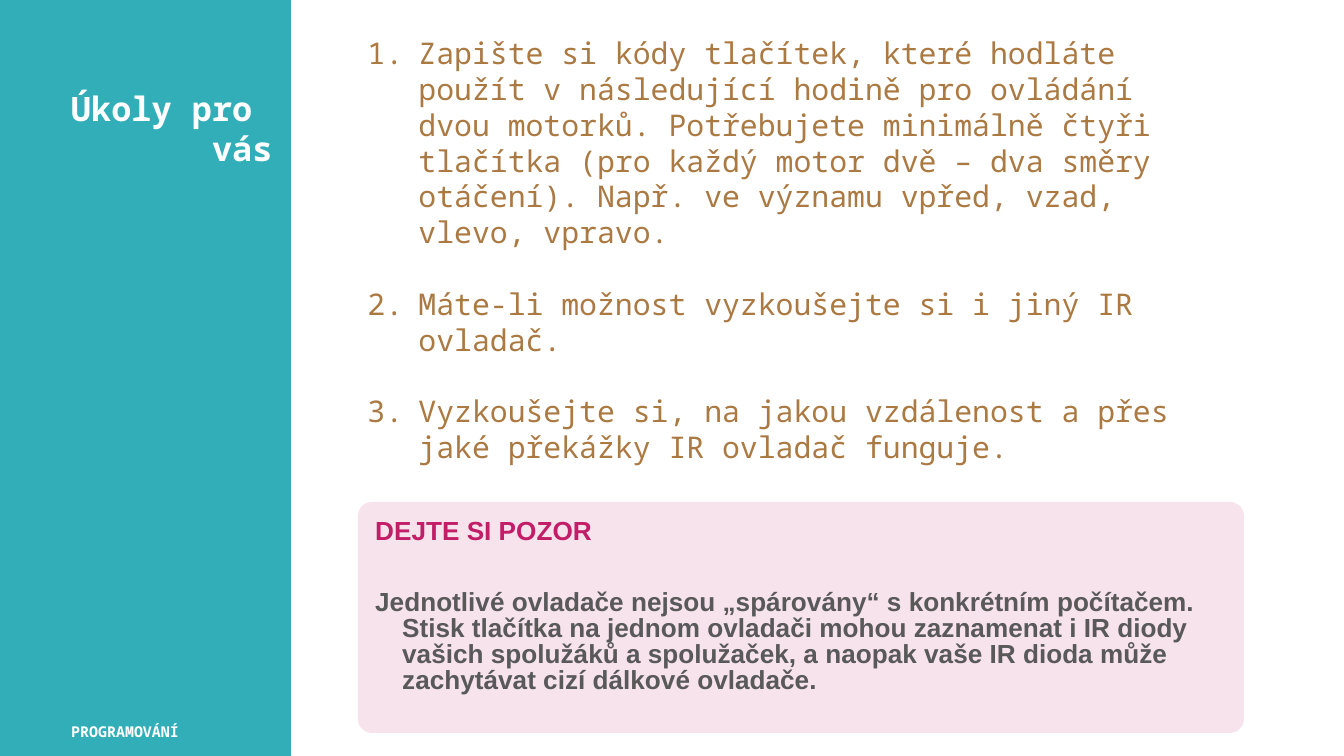
import pptx
import pptx.dml.color
import pptx.enum.shapes
import pptx.enum.text
import pptx.oxml.ns
import pptx.util
from dataclasses import dataclass
from lxml import etree

HEADING = "Úkoly pro \vvás"
SUBJECT = "PROGRAMOVÁNÍ"
TASKS = [
    "Zapište si kódy tlačítek, které hodláte použít v následující hodině pro ovládání "
    "dvou motorků. Potřebujete minimálně čtyři tlačítka (pro každý motor dvě – dva směry "
    "otáčení). Např. ve významu vpřed, vzad, vlevo, vpravo.",
    "Máte-li možnost vyzkoušejte si i jiný IR ovladač.",
    "Vyzkoušejte si, na jakou vzdálenost a přes jaké překážky IR ovladač funguje.",
]
WARNING_TITLE = "DEJTE SI POZOR"
WARNING_LINES = [
    "Jednotlivé ovladače nejsou „spárovány“ s konkrétním počítačem. ",
    "Stisk tlačítka na jednom ovladači mohou zaznamenat i IR diody ",
    "vašich spolužáků a spolužaček, a naopak vaše IR dioda může ",
    "zachytávat cizí dálkové ovladače.",
]


@dataclass(frozen=True)
class Theme:
    teal: str = "32AEB8"
    white: str = "FFFFFF"
    brown: str = "AB7942"
    magenta: str = "C21E68"
    grey: str = "595959"
    mono: str = "Noto Sans Mono"
    sans: str = "Arial"
    heading: int = 18
    task: int = 16
    warning: int = 14
    subject: int = 8


THEME = Theme()
EMU_PER_PX = 914400 / 134.4
SLIDE = (1344, 756)
SIDEBAR = (-5, 0, 296, 756)
HEADING_BOX = (-6, 81, 292, 212)
SUBJECT_BOX = (58, 716, 134, 32)
TASKS_BOX = (354, 28, 879, 520)
WARNING_BOX = (358, 502, 886, 231)
TASK_INDENT = 51
WARNING_INDENT = 27


def px(length):
    return pptx.util.Emu(round(length * EMU_PER_PX))


def rgb(color):
    return pptx.dml.color.RGBColor.from_string(color)


def place(shape, box):
    shape.left, shape.top, shape.width, shape.height = map(px, box)


def add_panel(shapes, kind, box, color):
    panel = shapes.add_shape(kind, *map(px, box))
    panel.shadow.inherit = False
    panel.fill.solid()
    panel.fill.fore_color.rgb = rgb(color)
    panel.line.fill.background()
    return panel


def prepare(frame):
    frame.word_wrap = True
    frame.auto_size = pptx.enum.text.MSO_AUTO_SIZE.NONE
    frame.vertical_anchor = pptx.enum.text.MSO_ANCHOR.TOP


def style(paragraph, face, size, color, bold=False):
    paragraph.font.name = face
    paragraph.font.size = pptx.util.Pt(size)
    paragraph.font.bold = bold
    paragraph.font.color.rgb = rgb(color)


def hang(paragraph, indent):
    properties = paragraph._p.get_or_add_pPr()
    properties.set("marL", str(px(indent)))
    properties.set("indent", str(-px(indent)))
    return properties


def main():
    align = pptx.enum.text.PP_ALIGN
    preset = pptx.enum.shapes.MSO_SHAPE
    qn = pptx.oxml.ns.qn
    deck = pptx.Presentation()
    deck.slide_width, deck.slide_height = map(px, SLIDE)
    slide = deck.slides.add_slide(deck.slide_layouts[1])
    shapes = slide.shapes

    heading = shapes.title
    sidebar = add_panel(shapes, preset.RECTANGLE, SIDEBAR, THEME.teal)
    heading._element.addprevious(sidebar._element)
    place(heading, HEADING_BOX)
    prepare(heading.text_frame)
    heading.text_frame.text = HEADING
    heading_line = heading.text_frame.paragraphs[0]
    heading_line.alignment = align.RIGHT
    style(heading_line, THEME.mono, THEME.heading, THEME.white, True)

    subject = shapes.add_textbox(*map(px, SUBJECT_BOX)).text_frame
    prepare(subject)
    subject.margin_right = 0
    subject.text = SUBJECT
    style(subject.paragraphs[0], THEME.mono, THEME.subject, THEME.white, True)

    tasks = slide.placeholders[1]
    place(tasks, TASKS_BOX)
    prepare(tasks.text_frame)
    tasks.text_frame.text = "\n".join(TASKS)
    for index, task in enumerate(tasks.text_frame.paragraphs):
        properties = hang(task, TASK_INDENT)
        etree.SubElement(properties, qn("a:buFont"), typeface="+mj-lt")
        etree.SubElement(properties, qn("a:buAutoNum"), type="arabicPeriod")
        task.space_before = pptx.util.Pt(19.2 if index else 0)
        style(task, THEME.mono, THEME.task, THEME.brown)

    warning = add_panel(shapes, preset.ROUNDED_RECTANGLE, WARNING_BOX, THEME.magenta)
    warning.adjustments[0] = 0.06
    tint = warning._element.spPr.find(qn("a:solidFill"))[0]
    etree.SubElement(tint, qn("a:alpha"), val="12000")
    frame = warning.text_frame
    prepare(frame)
    frame.margin_top = px(6)
    frame.text = WARNING_TITLE + "\n" + "\v".join(WARNING_LINES)
    title, message = frame.paragraphs
    title.alignment = align.JUSTIFY
    title.line_spacing = pptx.util.Pt(18)
    title.space_after = pptx.util.Pt(24)
    style(title, THEME.sans, THEME.warning, THEME.magenta, True)
    hang(message, WARNING_INDENT)
    message.alignment = align.LEFT
    message.line_spacing = pptx.util.Pt(14)
    style(message, THEME.sans, THEME.warning, THEME.grey, True)

    deck.save("out.pptx")


if __name__ == "__main__":
    main()
